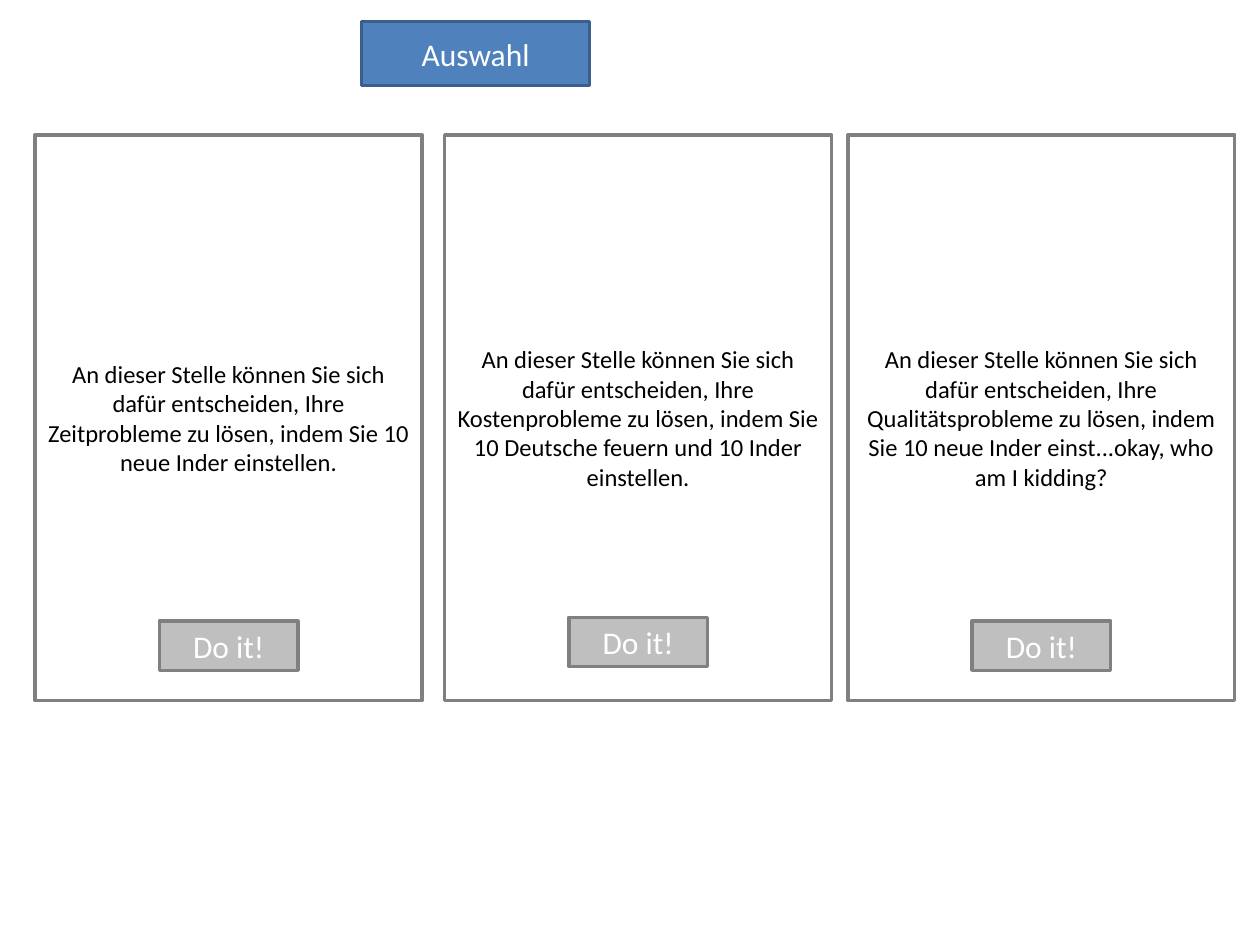
from pptx import Presentation
from pptx.dml.color import RGBColor
from pptx.enum.shapes import MSO_SHAPE
from pptx.enum.text import MSO_ANCHOR, PP_ALIGN
from pptx.util import Inches, Pt

WHITE = RGBColor(0xFF, 0xFF, 0xFF)
BLACK = RGBColor(0x00, 0x00, 0x00)
GRAY = RGBColor(0x80, 0x80, 0x80)
LIGHT_GRAY = RGBColor(0xBF, 0xBF, 0xBF)
BLUE = RGBColor(0x4F, 0x81, 0xBD)
DARK_BLUE = RGBColor(0x3A, 0x5F, 0x8C)

FONT = "Calibri"
SLIDE_WIDTH, SLIDE_HEIGHT = 10, 7.5
TITLE_BOX = (2.87, 0.17, 1.81, 0.51)
CARD_TOP, CARD_WIDTH, CARD_HEIGHT = 1.07, 3.07, 4.49
BUTTON_WIDTH, BUTTON_HEIGHT = 1.1, 0.39

# Left edge of the card, distance from card top to button, text
CARDS = [
    (0.28, 3.86, "An dieser Stelle können Sie sich dafür entscheiden, Ihre "
     "Zeitprobleme zu lösen, indem Sie 10 neue Inder einstellen."),
    (3.53, 3.83, "An dieser Stelle können Sie sich dafür entscheiden, Ihre "
     "Kostenprobleme zu lösen, indem Sie 10 Deutsche feuern und 10 Inder "
     "einstellen."),
    (6.73, 3.86, "An dieser Stelle können Sie sich dafür entscheiden, Ihre "
     "Qualitätsprobleme zu lösen, indem Sie 10 neue Inder einst...okay, who "
     "am I kidding?"),
]


def write_text(shape, text, *, size=18, color=WHITE):
    frame = shape.text_frame
    frame.word_wrap = True
    frame.vertical_anchor = MSO_ANCHOR.MIDDLE
    paragraph = frame.paragraphs[0]
    paragraph.alignment = PP_ALIGN.CENTER
    run = paragraph.add_run()
    run.text = text
    run.font.name = FONT
    run.font.size = Pt(size)
    run.font.color.rgb = color


def add_box(slide, box, text, *, fill, line=GRAY, **text_format):
    shape = slide.shapes.add_shape(MSO_SHAPE.RECTANGLE, *map(Inches, box))
    shape.shadow.inherit = False
    shape.fill.solid()
    shape.fill.fore_color.rgb = fill
    shape.line.color.rgb = line
    shape.line.width = Pt(2)
    write_text(shape, text, **text_format)


def add_title(slide, box):
    add_box(slide, box, "Auswahl", fill=BLUE, line=DARK_BLUE)


def add_card(slide, box, text, button_offset):
    """Add a choice with its button centred across the card."""
    left, top, width, _ = box
    add_box(slide, box, text, fill=WHITE, size=14, color=BLACK)
    button = (left + (width - BUTTON_WIDTH) / 2, top + button_offset,
              BUTTON_WIDTH, BUTTON_HEIGHT)
    add_box(slide, button, "Do it!", fill=LIGHT_GRAY)


def main():
    presentation = Presentation()
    presentation.slide_width = Inches(SLIDE_WIDTH)
    presentation.slide_height = Inches(SLIDE_HEIGHT)
    slide = presentation.slides.add_slide(presentation.slide_layouts[6])
    add_title(slide, TITLE_BOX)
    for left, button_offset, text in CARDS:
        add_card(slide, (left, CARD_TOP, CARD_WIDTH, CARD_HEIGHT), text,
                 button_offset)
    presentation.save("out.pptx")


if __name__ == "__main__":
    main()
